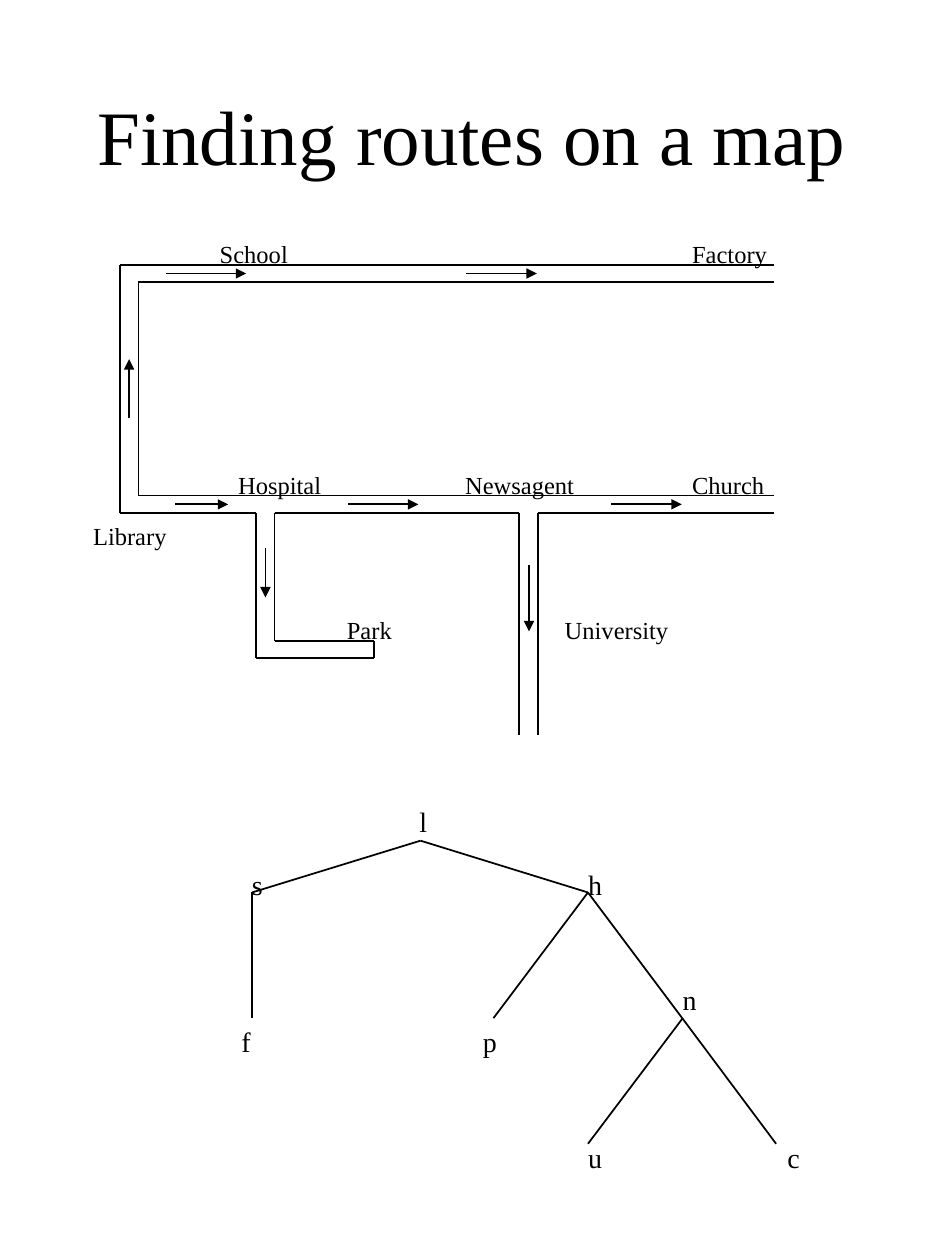
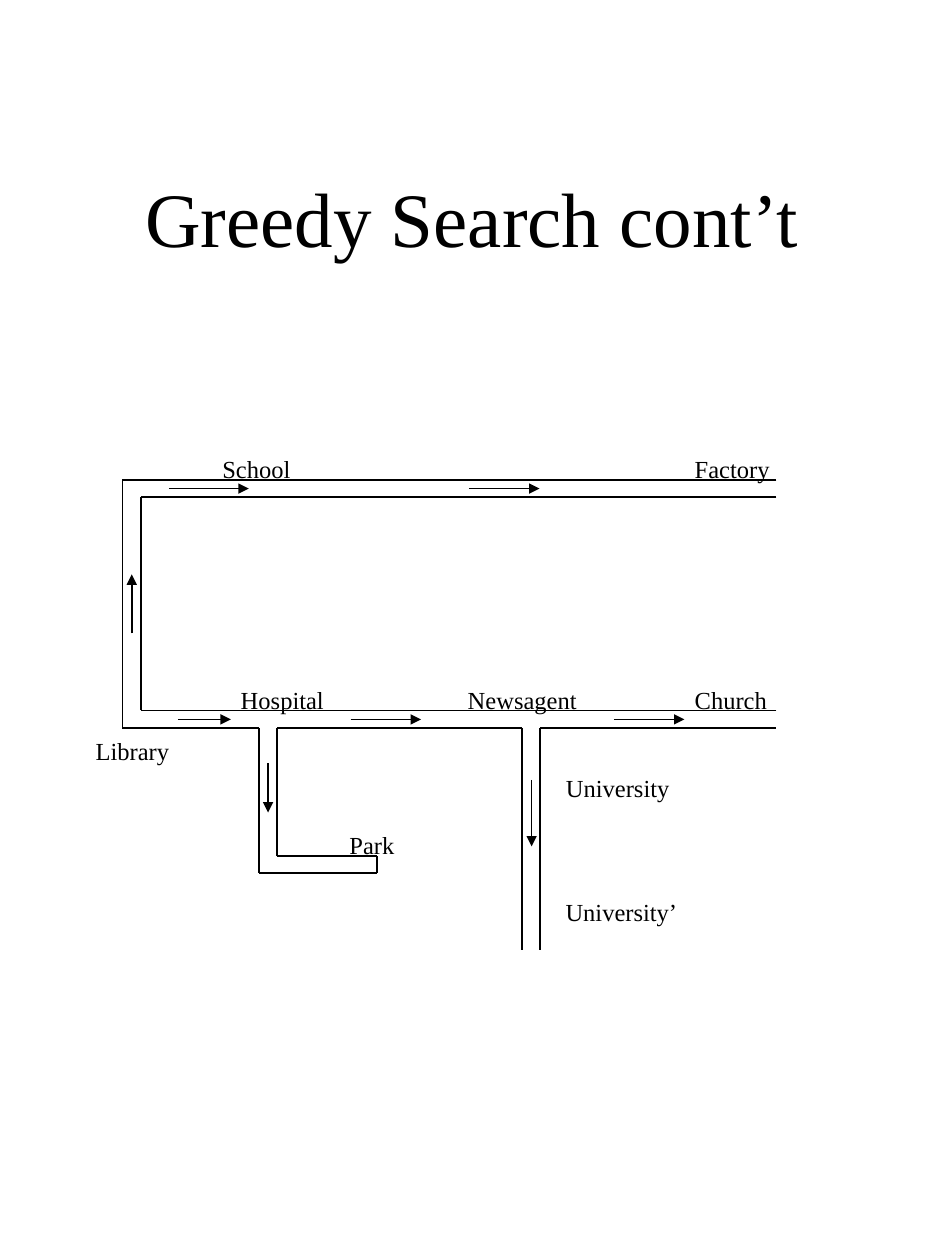
from dataclasses import dataclass

from lxml import etree
from pptx import Presentation
from pptx.dml.color import RGBColor
from pptx.enum.shapes import MSO_CONNECTOR
from pptx.enum.text import MSO_ANCHOR, MSO_AUTO_SIZE, PP_ALIGN
from pptx.oxml.ns import qn
from pptx.shapes.connector import Connector
from pptx.shapes.group import GroupShape
from pptx.slide import Slide
from pptx.text.text import TextFrame
from pptx.util import Pt

STRAIGHT = MSO_CONNECTOR.STRAIGHT
MIDDLE = MSO_ANCHOR.MIDDLE
FIT_SHAPE = MSO_AUTO_SIZE.SHAPE_TO_FIT_TEXT
CENTER, LEFT = PP_ALIGN.CENTER, PP_ALIGN.LEFT


@dataclass(frozen=True)
class Theme:
    ink: RGBColor = RGBColor(0, 0, 0)
    paper: RGBColor = RGBColor(255, 255, 255)
    font: str = "Times New Roman"
    title_size: float = 44
    place_size: float = 14
    node_size: float = 16
    line_width: float = 1


@dataclass(frozen=True)
class Segment:
    x1: float
    y1: float
    x2: float
    y2: float


@dataclass(frozen=True)
class Label:
    text: str
    x: float
    y: float
    width: float


@dataclass(frozen=True)
class Node:
    label: Label
    x: float
    y: float
    parent: str = ""


THEME = Theme()
PAGE_WIDTH, PAGE_HEIGHT = 540, 720
TITLE_LEFT, TITLE_WIDTH = 40.4, 458.6

EAST = 373.7
WEST_INNER = 10.6
NORTH_INNER = 9.8
SOUTH_INNER, SOUTH = 131.8, 141.8
HOSPITAL_WEST, HOSPITAL_EAST = 77.8, 88.4
PARK_NORTH, PARK_SOUTH, PARK_END = 215, 224.8, 145.3
NEWS_WEST, NEWS_EAST, NEWS_END = 228.2, 238.8, 268.6
NORTH_LANE, WEST_LANE, SOUTH_LANE = 5, 5.3, 136.9
HOSPITAL_LANE, NEWS_LANE = 83.2, 233.8

KERBS = [
    Segment(EAST, 0, 0, 0),
    Segment(0, 0, 0, SOUTH),
    Segment(EAST, NORTH_INNER, WEST_INNER, NORTH_INNER),
    Segment(WEST_INNER, NORTH_INNER, WEST_INNER, SOUTH_INNER),
    Segment(EAST, SOUTH_INNER, WEST_INNER, SOUTH_INNER),
    Segment(0, SOUTH, HOSPITAL_WEST, SOUTH),
    Segment(HOSPITAL_WEST, SOUTH, HOSPITAL_WEST, PARK_SOUTH),
    Segment(HOSPITAL_WEST, PARK_SOUTH, PARK_END, PARK_SOUTH),
    Segment(PARK_END, PARK_NORTH, PARK_END, PARK_SOUTH),
    Segment(PARK_END, PARK_NORTH, HOSPITAL_EAST, PARK_NORTH),
    Segment(HOSPITAL_EAST, PARK_NORTH, HOSPITAL_EAST, SOUTH),
    Segment(HOSPITAL_EAST, SOUTH, NEWS_WEST, SOUTH),
    Segment(NEWS_WEST, SOUTH, NEWS_WEST, NEWS_END),
    Segment(NEWS_EAST, NEWS_END, NEWS_EAST, SOUTH),
    Segment(NEWS_EAST, SOUTH, EAST, SOUTH),
]
ARROWS = [
    Segment(26.5, NORTH_LANE, 72.2, NORTH_LANE),
    Segment(198, NORTH_LANE, 238.3, NORTH_LANE),
    Segment(WEST_LANE, 87.8, WEST_LANE, 54),
    Segment(31.7, SOUTH_LANE, 61.9, SOUTH_LANE),
    Segment(130.3, SOUTH_LANE, 170.6, SOUTH_LANE),
    Segment(280.8, SOUTH_LANE, 321.1, SOUTH_LANE),
    Segment(HOSPITAL_LANE, 162, HOSPITAL_LANE, 190.1),
    Segment(NEWS_LANE, 171.4, NEWS_LANE, 209.5),
]
PLACES = [
    Label("Library", -22.4, 143.1, 59),
    Label("Hospital", 60.5, 113.9, 64),
    Label("Newsagent", 190.2, 113.9, 79),
    Label("Church", 319.9, 113.9, 58),
    Label("Park", 122.6, 196.8, 43),
    Label("School", 50, -18.2, 56),
    Label("Factory", 319.9, -18.2, 60),
]
TREE = [
    Node(Label("l", 232.6, 456.2, 21), 240.3, 480.4),
    Node(Label("s", 136.8, 492.2, 23), 144, 510, "l"),
    Node(Label("h", 329, 492.2, 25), 336, 510, "l"),
    Node(Label("f", 130.9, 581.8, 22), 144, 581.8, "s"),
    Node(Label("p", 268.8, 581.8, 25), 282, 581.8, "h"),
    Node(Label("n", 383, 558, 25), 390, 582, "h"),
    Node(Label("u", 329, 648, 25), 336, 653.6, "n"),
    Node(Label("c", 442.8, 648, 24), 443.5, 653.6, "n"),
]


def write_text(frame: TextFrame, text: str, size: float, align: PP_ALIGN) -> None:
    para = frame.paragraphs[0]
    para.text = text
    para.alignment = align
    para.font.name = THEME.font
    para.font.size = Pt(size)
    para.font.color.rgb = THEME.ink


def add_page(deck: Presentation, title: str, top: float, height: float) -> Slide:
    page = deck.slides.add_slide(deck.slide_layouts[6])
    page.background.fill.solid()
    page.background.fill.fore_color.rgb = THEME.paper
    box = page.shapes.add_textbox(Pt(TITLE_LEFT), Pt(top), Pt(TITLE_WIDTH), Pt(height))
    box.text_frame.word_wrap = True
    box.text_frame.vertical_anchor = MIDDLE
    write_text(box.text_frame, title, THEME.title_size, CENTER)
    return page


def add_line(group: GroupShape, segment: Segment, x: float = 0, y: float = 0) -> Connector:
    line = group.shapes.add_connector(
        STRAIGHT,
        Pt(x + segment.x1), Pt(y + segment.y1),
        Pt(x + segment.x2), Pt(y + segment.y2),
    )
    line.line.color.rgb = THEME.ink
    line.line.width = Pt(THEME.line_width)
    etree.SubElement(line._element.spPr, qn("a:effectLst"))
    return line


def add_arrow(group: GroupShape, segment: Segment, x: float, y: float) -> None:
    arrow = add_line(group, segment, x, y)
    outline = arrow._element.spPr.find(qn("a:ln"))
    etree.SubElement(outline, qn("a:tailEnd"), type="triangle")


def add_label(group: GroupShape, label: Label, size: float, x: float = 0, y: float = 0) -> None:
    height = size * 1.2 + 7.2
    box = group.shapes.add_textbox(
        Pt(x + label.x), Pt(y + label.y), Pt(label.width), Pt(height)
    )
    box.text_frame.word_wrap = False
    box.text_frame.auto_size = FIT_SHAPE
    write_text(box.text_frame, label.text, size, LEFT)


def add_map(page: Slide, x: float, y: float, extra_places: list[Label]) -> None:
    group = page.shapes.add_group_shape()
    for kerb in KERBS:
        add_line(group, kerb, x, y)
    for arrow in ARROWS:
        add_arrow(group, arrow, x, y)
    for place in PLACES + extra_places:
        add_label(group, place, THEME.place_size, x, y)


def add_tree(page: Slide) -> None:
    group = page.shapes.add_group_shape()
    nodes = {node.label.text: node for node in TREE}
    for node in TREE:
        if node.parent:
            parent = nodes[node.parent]
            add_line(group, Segment(parent.x, parent.y, node.x, node.y))
    for node in TREE:
        add_label(group, node.label, THEME.node_size)


def main() -> None:
    deck = Presentation()
    deck.slide_width, deck.slide_height = Pt(PAGE_WIDTH), Pt(PAGE_HEIGHT)

    routes = add_page(deck, "Finding routes on a map", 39.8, 74.2)
    add_map(routes, 68.5, 151.3, [Label("University", 247.1, 196.8, 76)])
    add_tree(routes)

    greedy = add_page(deck, "Greedy Search cont’t", 63.6, 120.2)
    add_map(greedy, 70, 274.2, [
        Label("University", 246.3, 163.7, 76),
        Label("University’", 246.1, 234.8, 81),
    ])
    deck.save("out.pptx")


if __name__ == "__main__":
    main()
